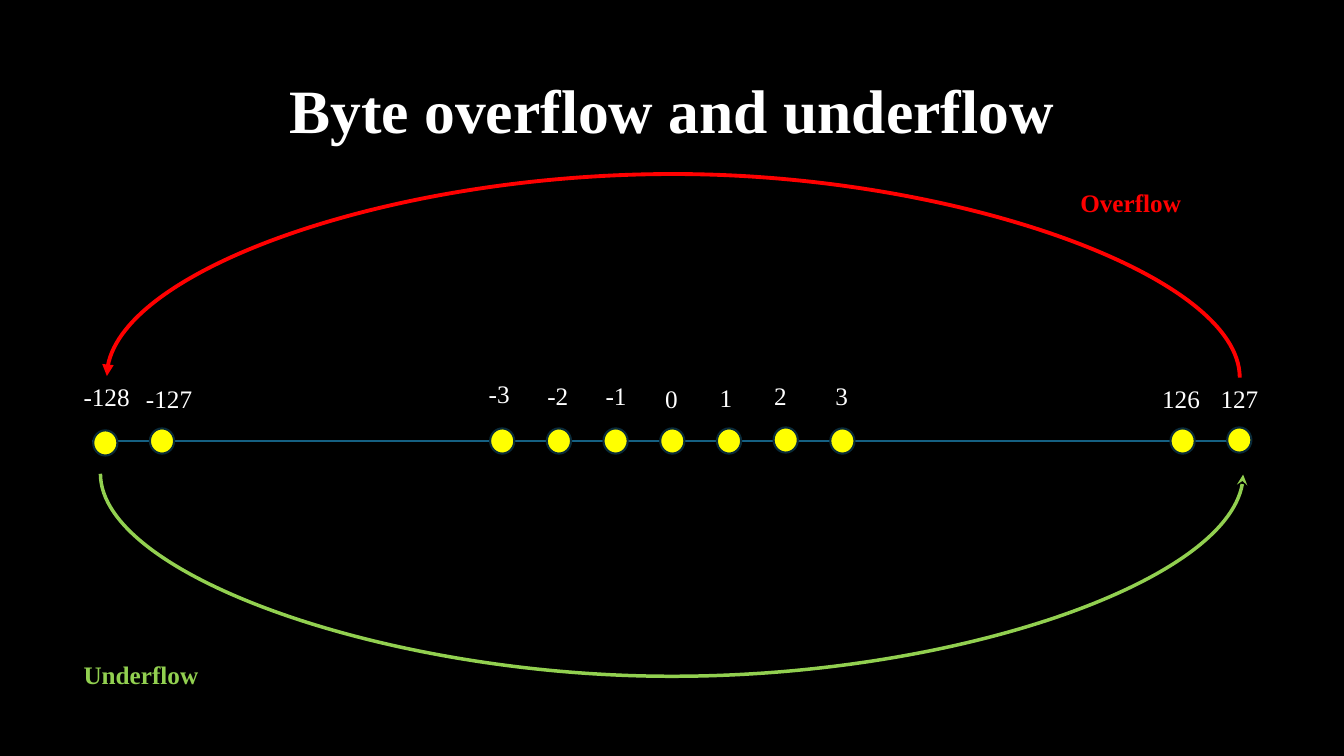
from dataclasses import dataclass

from lxml import etree
from pptx import Presentation
from pptx.dml.color import RGBColor
from pptx.enum.shapes import MSO_CONNECTOR, MSO_SHAPE
from pptx.enum.text import MSO_ANCHOR, MSO_AUTO_SIZE, PP_ALIGN
from pptx.oxml.ns import qn
from pptx.util import Pt

STRAIGHT, CURVE = MSO_CONNECTOR.STRAIGHT, MSO_CONNECTOR.CURVE
ELLIPSE = MSO_SHAPE.OVAL
MIDDLE, TOP = MSO_ANCHOR.MIDDLE, MSO_ANCHOR.TOP
CENTER, LEFT = PP_ALIGN.CENTER, PP_ALIGN.LEFT
FIXED, GROW = MSO_AUTO_SIZE.NONE, MSO_AUTO_SIZE.SHAPE_TO_FIT_TEXT
TITLE_ONLY = 5


@dataclass(frozen=True)
class Theme:
    font: str = "Times New Roman"
    title_size: float = 44
    label_size: float = 18
    background: str = "000000"
    text: str = "FFFFFF"
    axis: str = "156082"
    dot: str = "FFFF00"
    dot_edge: str = "092A39"
    overflow: str = "FF0000"
    underflow: str = "92D050"


# Numbers on the axis: slot from the middle, text, label left, label top, dot top
NUMBERS = [
    (-10, "-128", 52.6, 268.6, 307.4),
    (-9, "-127", 97.2, 270, 306),
    (-3, "-3", 342, 266.4, 306),
    (-2, "-2", 383.8, 267.8, 306),
    (-1, "-1", 425.5, 267.8, 306),
    (0, "0", 468, 270, 306),
    (1, "1", 506.9, 269.3, 306),
    (2, "2", 545.8, 267.8, 305.3),
    (3, "3", 589.7, 267.8, 306),
    (9, "126", 823, 270, 306),
    (10, "127", 864.7, 270, 305.3),
]
MIDDLE_DOT_LEFT, SLOT_STEP = 471.6, 40.5
DOT_WIDTH, DOT_HEIGHT = 17.3, 18
LABEL_HEIGHT = 29


def write_text(frame, text, *, font, size, color, bold=False, align=LEFT,
               anchor=TOP, wrap=False, auto_size=GROW, line_spacing=None):
    frame.text = text
    frame.word_wrap = wrap
    frame.auto_size = auto_size
    frame.vertical_anchor = anchor
    paragraph = frame.paragraphs[0]
    paragraph.alignment = align
    paragraph.line_spacing = line_spacing
    style = paragraph.runs[0].font
    style.name, style.size, style.bold = font, Pt(size), bold
    style.color.rgb = RGBColor.from_string(color)


def label_width(text):
    """Width of a number label: insets, digits and an optional minus sign."""
    signs = text.count("-")
    return 14.4 + 9 * (len(text) - signs) + 6 * signs


class SlideBuilder:
    def __init__(self, slide, theme):
        self.slide = slide
        self.theme = theme
        fill = slide.background.fill
        fill.solid()
        fill.fore_color.rgb = RGBColor.from_string(theme.background)

    def title(self, text, left, top, width, height):
        shape = self.slide.shapes.title
        shape.left, shape.top = Pt(left), Pt(top)
        shape.width, shape.height = Pt(width), Pt(height)
        write_text(shape.text_frame, text, font=self.theme.font,
                   size=self.theme.title_size, color=self.theme.text,
                   bold=True, align=CENTER, anchor=MIDDLE, wrap=True,
                   auto_size=FIXED, line_spacing=0.9)

    def label(self, text, left, top, width, color, bold=False):
        box = self.slide.shapes.add_textbox(
            Pt(left), Pt(top), Pt(width), Pt(LABEL_HEIGHT))
        write_text(box.text_frame, text, font=self.theme.font,
                   size=self.theme.label_size, color=color, bold=bold)

    def dot(self, left, top):
        shape = self.slide.shapes.add_shape(
            ELLIPSE, Pt(left), Pt(top), Pt(DOT_WIDTH), Pt(DOT_HEIGHT))
        shape.shadow.inherit = False
        shape.fill.solid()
        shape.fill.fore_color.rgb = RGBColor.from_string(self.theme.dot)
        shape.line.color.rgb = RGBColor.from_string(self.theme.dot_edge)
        shape.line.width = Pt(1.5)

    def line(self, begin, end, color, weight, kind=STRAIGHT):
        connector = self.slide.shapes.add_connector(
            kind, Pt(begin[0]), Pt(begin[1]), Pt(end[0]), Pt(end[1]))
        connector.line.color.rgb = RGBColor.from_string(color)
        connector.line.width = Pt(weight)
        etree.SubElement(connector._element.spPr, qn("a:effectLst"))
        return connector

    def curved_arrow(self, begin, end, depth, rotation, color, weight,
                     arrow_end, arrow_type):
        """Curve given unrotated, bulging by depth along its narrow side."""
        connector = self.line(begin, end, color, weight, CURVE)
        properties = connector._element.spPr
        properties.find(qn("a:xfrm")).set("rot", str(rotation * 60000))
        geometry = properties.find(qn("a:prstGeom"))
        adjustments = geometry.find(qn("a:avLst"))
        if adjustments is None:
            adjustments = etree.SubElement(geometry, qn("a:avLst"))
        bend = round(depth / abs(end[0] - begin[0]) * 100000)
        etree.SubElement(adjustments, qn("a:gd"), name="adj1", fmla=f"val {bend}")
        outline = properties.find(qn("a:ln"))
        etree.SubElement(outline, qn(f"a:{arrow_end}"), type=arrow_type)


def main():
    presentation = Presentation()
    presentation.slide_width, presentation.slide_height = Pt(960), Pt(540)
    theme = Theme()
    slide = presentation.slides.add_slide(presentation.slide_layouts[TITLE_ONLY])
    builder = SlideBuilder(slide, theme)

    builder.title("Byte overflow and underflow", 66, 28.8, 828, 104.4)
    builder.line((66, 315), (894, 315), theme.axis, 1.5)
    for slot, _, _, _, dot_top in NUMBERS:
        builder.dot(MIDDLE_DOT_LEFT + slot * SLOT_STEP, dot_top)
    for _, text, left, top, _ in NUMBERS:
        builder.label(text, left, top, label_width(text), theme.text)

    builder.curved_arrow((480.4, 673.8), (481.5, -135.4), 144.7, 270,
                         theme.overflow, 2.75, "tailEnd", "triangle")
    builder.curved_arrow((480.2, -69.4), (479.6, 746.8), -145.2, 90,
                         theme.underflow, 2.5, "headEnd", "stealth")
    builder.label("Overflow", 764.6, 130.3, 87, theme.overflow, bold=True)
    builder.label("Underflow", 52.6, 467.3, 97, theme.underflow, bold=True)
    presentation.save("out.pptx")


if __name__ == "__main__":
    main()
